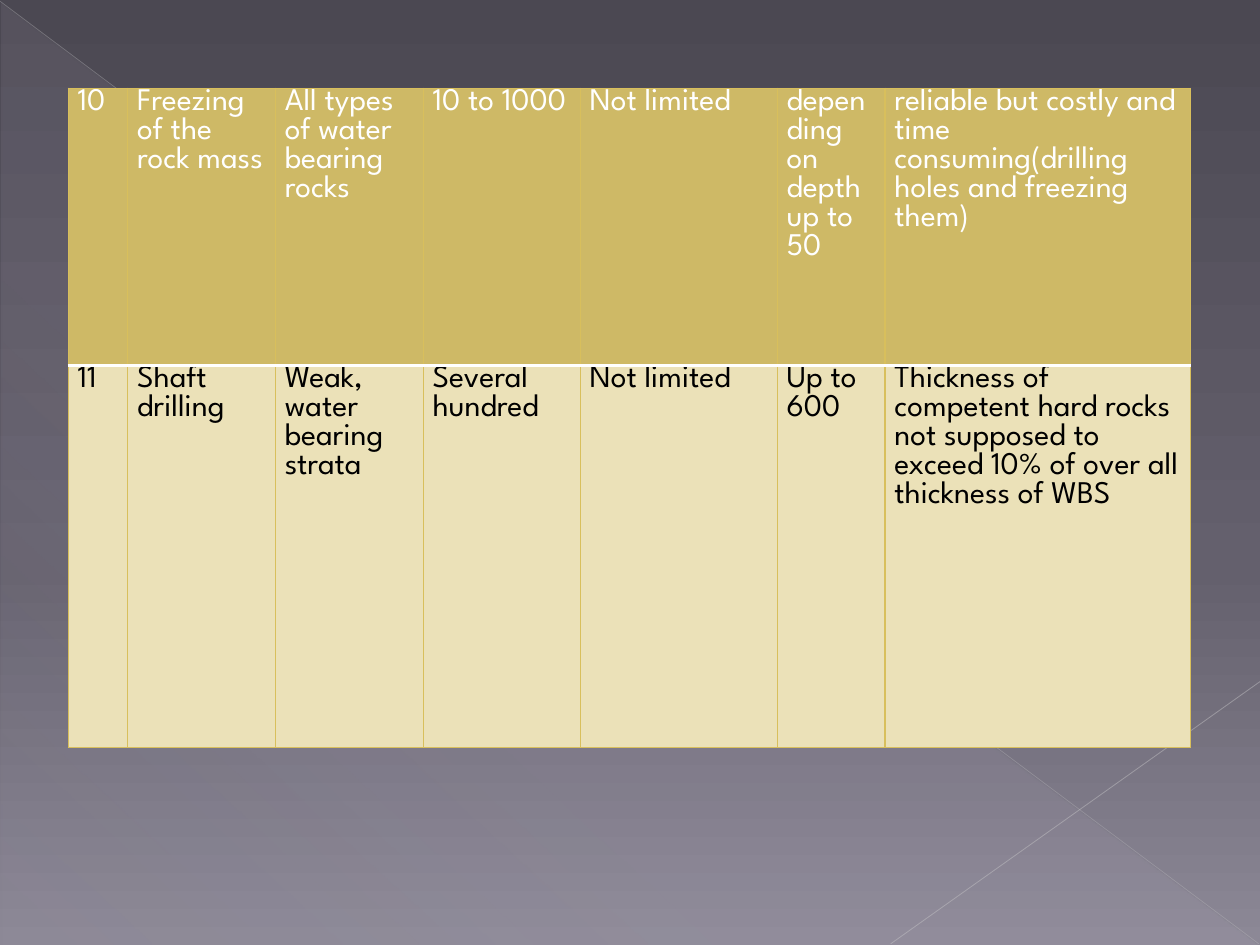
from dataclasses import dataclass

from lxml import etree
from pptx import Presentation
from pptx.dml.color import RGBColor
from pptx.enum.shapes import MSO_CONNECTOR, MSO_SHAPE
from pptx.oxml.ns import qn
from pptx.util import Pt

STRAIGHT = MSO_CONNECTOR.STRAIGHT
RIGHT_TRIANGLE = MSO_SHAPE.RIGHT_TRIANGLE
BLANK_LAYOUT = 6


@dataclass(frozen=True)
class Theme:
    """Colours, font and sizes of the deck."""
    font: str = "League Spartan"
    text_size: float = 18
    header_text: str = "FFFFFF"
    body_text: str = "000000"
    header_fill: str = "CEB966"
    body_fill: str = "EBE1B8"
    grid: str = "D8BF5C"
    grid_width: float = 0.75
    rule: str = "FFFFFF"
    rule_width: float = 2
    backdrop: tuple = ((0, "4B4852", 100), (60, "64606D", 100), (100, "8C8896", 100))
    veil: tuple = ((0, "C9C2D1", 10), (70, "C9C2D1", 8), (100, "C9C2D1", 1))
    falling_line: tuple = ("C0BFC2", 0.39, 35)
    rising_line: tuple = ("C7C6C8", 0.47, 45)


THEME = Theme()
COLUMN_WIDTHS = (34, 84.4, 84.4, 89.8, 112.6, 61.6, 174.5)
ROW_HEIGHTS = (158.4, 218.2)
METHODS = (
    ("10", "Freezing of the rock mass", "All types of water bearing rocks",
     "10 to 1000", "Not limited", "depending on depth up to 50",
     "reliable but costly and time consuming(drilling holes and freezing them)"),
    ("11", "Shaft drilling", "Weak, water bearing strata",
     "Several hundred", "Not limited", "Up to 600",
     "Thickness of competent hard rocks not supposed to exceed 10% of over all "
     "thickness of WBS"),
)


def add_color(parent, color, opacity=100):
    """Append a colour element with its opacity in percent."""
    element = etree.SubElement(parent, qn("a:srgbClr"), val=color)
    if opacity < 100:
        etree.SubElement(element, qn("a:alpha"), val=str(opacity * 1000))


def set_gradient(fill, owner, stops, angle):
    """Give a fill a linear gradient with any number of stops."""
    fill.gradient()
    fill.gradient_angle = angle
    stop_list = owner.find(".//" + qn("a:gsLst"))
    for stop in list(stop_list):
        stop_list.remove(stop)
    for position, color, opacity in stops:
        stop = etree.SubElement(stop_list, qn("a:gs"), pos=str(position * 1000))
        add_color(stop, color, opacity)


def set_text(cell, text, *, color, size=THEME.text_size, font=THEME.font):
    """Write formatted text into a cell."""
    span = cell.text_frame.paragraphs[0].add_run()
    span.text = text
    span.font.name = font
    span.font.size = Pt(size)
    span.font.color.rgb = RGBColor.from_string(color)


def set_border(cell, side, color, width):
    """Draw one side of a cell: L, R, T or B."""
    properties = cell._tc.get_or_add_tcPr()
    line = etree.SubElement(properties, qn("a:ln" + side), w=str(Pt(width)))
    add_color(etree.SubElement(line, qn("a:solidFill")), color)


def add_line(page, start, end, style):
    """Add a thin translucent line between two points."""
    color, width, opacity = style
    line = page.shapes.add_connector(STRAIGHT, *map(Pt, start + end))
    line.line.width = Pt(width)
    line.line.color.rgb = RGBColor.from_string(color)
    shade = line._element.spPr.find(".//" + qn("a:srgbClr"))
    etree.SubElement(shade, qn("a:alpha"), val=str(opacity * 1000))
    etree.SubElement(line._element.spPr, qn("a:effectLst"))


def add_backdrop(page, left, top, width, height):
    """Place the gradient, the veil and the crossing lines."""
    set_gradient(page.background.fill, page._element, THEME.backdrop, 270)
    veil = page.shapes.add_shape(
        RIGHT_TRIANGLE, Pt(left + 0.7), Pt(top + 1.4), Pt(width - 1.4), Pt(height - 1.4))
    veil.shadow.inherit = False
    veil.line.fill.background()
    set_gradient(veil.fill, veil._element, THEME.veil, 227)
    right, bottom = left + width, top + height
    add_line(page, (left, top + 0.7), (right - 0.7, bottom - 0.7), THEME.falling_line)
    add_line(page, (right, bottom - 150.5), (right - 211, bottom - 0.7), THEME.rising_line)


def format_cell(cell, is_header):
    """Set the margins, borders and fill of a cell."""
    cell.margin_left = cell.margin_right = Pt(5.4)
    cell.margin_top = cell.margin_bottom = 0
    grid = THEME.grid, THEME.grid_width
    rule = THEME.rule, THEME.rule_width
    top, bottom = (grid, rule) if is_header else (rule, grid)
    for side, style in zip("LRTB", (grid, grid, top, bottom)):
        set_border(cell, side, *style)
    cell.fill.solid()
    color = THEME.header_fill if is_header else THEME.body_fill
    cell.fill.fore_color.rgb = RGBColor.from_string(color)


def add_methods_table(page, left, top, width, height):
    """Place the table of shaft sinking methods."""
    frame = page.shapes.add_table(
        len(METHODS), len(COLUMN_WIDTHS), Pt(left), Pt(top), Pt(width), Pt(height))
    table = frame.table
    table.horz_banding = False
    table.first_row = False
    for column, size in zip(table.columns, COLUMN_WIDTHS):
        column.width = Pt(size)
    for index, (row, size, texts) in enumerate(zip(table.rows, ROW_HEIGHTS, METHODS)):
        row.height = Pt(size)
        is_header = index == 0
        color = THEME.header_text if is_header else THEME.body_text
        for cell, text in zip(row.cells, texts):
            format_cell(cell, is_header)
            set_text(cell, text, color=color)


def main():
    """Build and save the deck."""
    deck = Presentation()
    deck.slide_width, deck.slide_height = Pt(720), Pt(540)
    page = deck.slides.add_slide(deck.slide_layouts[BLANK_LAYOUT])
    add_backdrop(page, 0, 0, 720, 540)
    add_methods_table(page, 39, 50.4, sum(COLUMN_WIDTHS), sum(ROW_HEIGHTS))
    deck.save("out.pptx")


if __name__ == "__main__":
    main()
